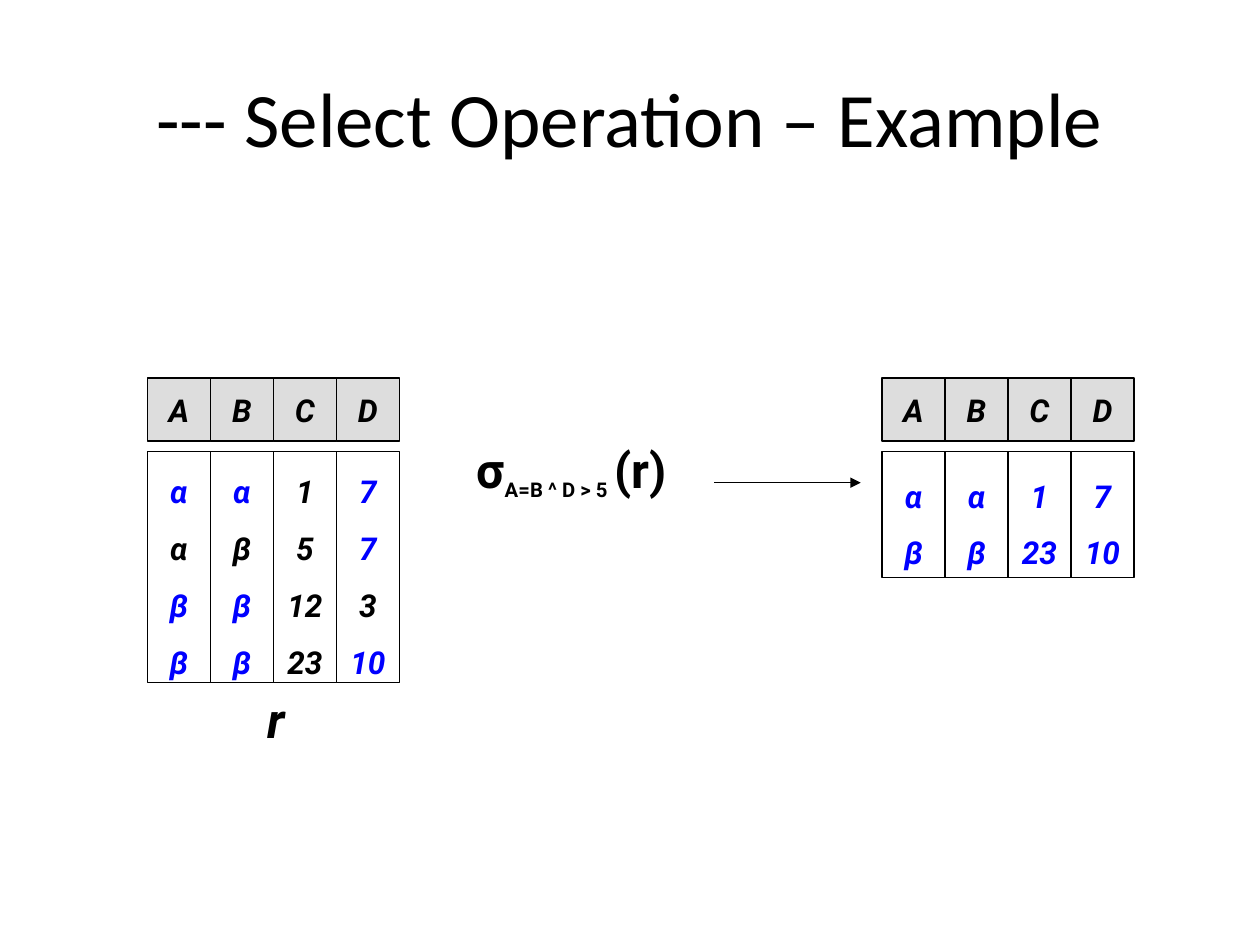
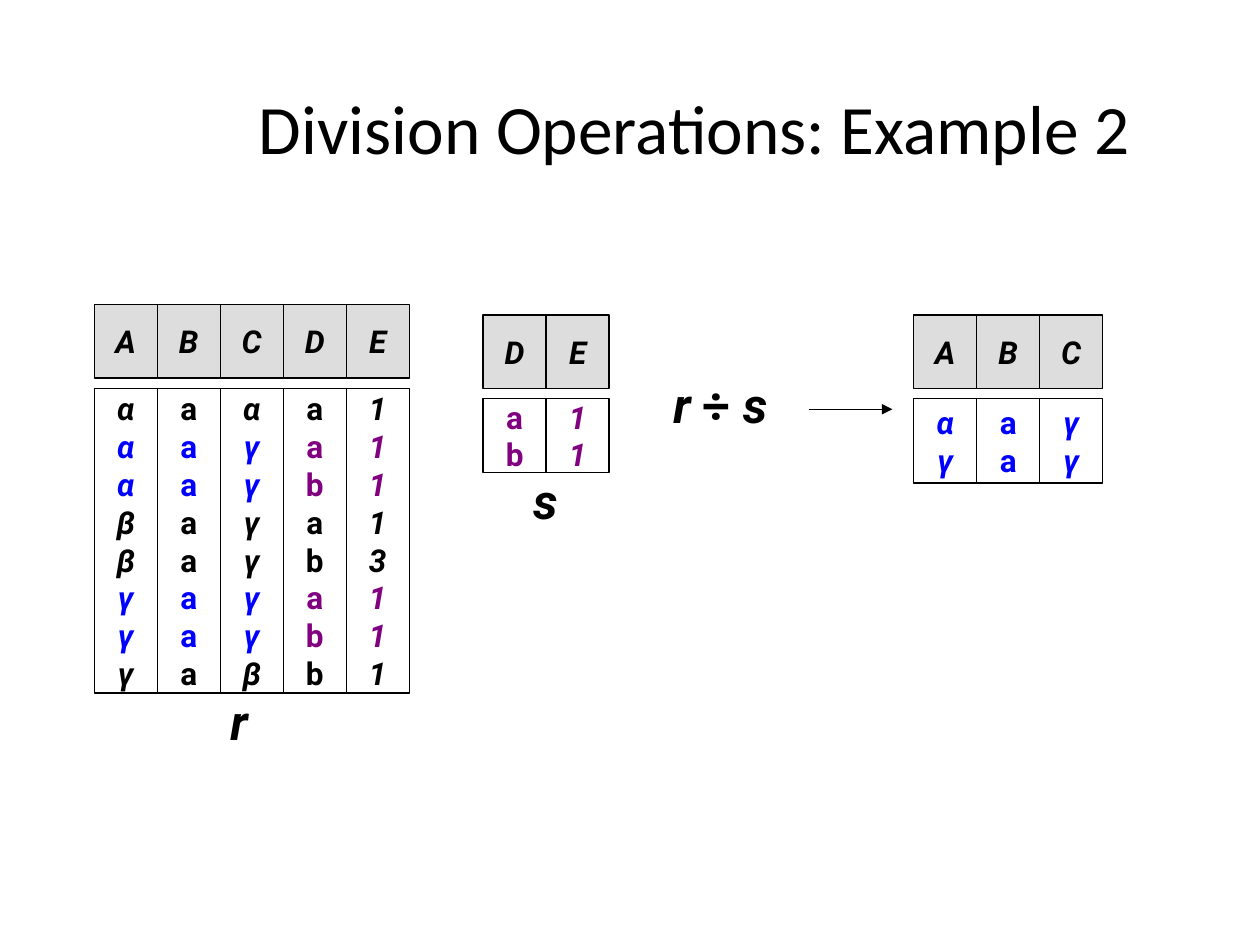
from dataclasses import dataclass

from lxml import etree
from pptx import Presentation
from pptx.dml.color import RGBColor
from pptx.enum.shapes import MSO_CONNECTOR, MSO_SHAPE
from pptx.enum.text import MSO_ANCHOR, PP_ALIGN
from pptx.oxml.ns import qn
from pptx.slide import Slide
from pptx.text.text import TextFrame, _Paragraph
from pptx.util import Cm, Pt

BLACK = RGBColor(0x00, 0x00, 0x00)
WHITE = RGBColor(0xFF, 0xFF, 0xFF)
GREY = RGBColor(0xDD, 0xDD, 0xDD)
BLUE = RGBColor(0x00, 0x00, 0xFF)
PURPLE = RGBColor(0x80, 0x00, 0x80)
HUES = {"k": BLACK, "b": BLUE, "p": PURPLE}

RECT = MSO_SHAPE.RECTANGLE
LINE = MSO_CONNECTOR.STRAIGHT
MIDDLE = MSO_ANCHOR.MIDDLE
CENTER = PP_ALIGN.CENTER

SANS = "Calibri"
ROBOTO = "Roboto"
CELL = 1.27  # column width, cm
GAP = 0.21  # between head and body, cm
STROKE = Pt(0.75)


@dataclass(frozen=True)
class Column:
    """One attribute: its name, its values, and one hue letter per value."""
    head: str
    cells: str
    hues: str


@dataclass(frozen=True)
class Table:
    left: float
    top: float
    head: float
    body: float
    cols: list[Column]
    pitch: float = 1.0


@dataclass(frozen=True)
class Piece:
    text: str
    italic: bool = True
    size: float = 28
    drop: int = 0


@dataclass(frozen=True)
class Label:
    left: float
    top: float
    width: float
    pieces: list[Piece]
    height: float = 1.45


@dataclass(frozen=True)
class Arrow:
    start: float
    end: float
    y: float


def write(para: _Paragraph, text: str, *, size: float = 18, color: RGBColor = BLACK,
          font: str = ROBOTO, bold: bool = True, italic: bool = True,
          drop: int = 0) -> None:
    """Add a run; drop lowers it as a subscript, in percent."""
    run = para.add_run()
    run.text = text
    face = run.font
    face.name, face.size = font, Pt(size)
    face.bold, face.italic = bold, italic
    face.color.rgb = color
    if drop:
        run._r.get_or_add_rPr().set("baseline", str(-drop * 1000))


def centre(frame: TextFrame, wrap: bool = False) -> _Paragraph:
    """Centre the frame both ways and return its first paragraph."""
    frame.word_wrap = wrap
    frame.vertical_anchor = MIDDLE
    para = frame.paragraphs[0]
    para.alignment = CENTER
    return para


def add_title(slide: Slide, text: str, left: float, top: float, width: float,
              height: float, size: float) -> None:
    box = slide.shapes.add_textbox(Cm(left), Cm(top), Cm(width), Cm(height))
    write(centre(box.text_frame, wrap=True), text, size=size, font=SANS,
          bold=False, italic=False)


def add_cell(slide: Slide, left: float, top: float, height: float,
             fill: RGBColor) -> TextFrame:
    cell = slide.shapes.add_shape(RECT, Cm(left), Cm(top), Cm(CELL), Cm(height))
    cell.shadow.inherit = False
    cell.fill.solid()
    cell.fill.fore_color.rgb = fill
    cell.line.color.rgb = BLACK
    cell.line.width = STROKE
    return cell.text_frame


def add_table(slide: Slide, table: Table) -> None:
    """Draw each column as a head cell above one tall body cell."""
    below = table.top + table.head + GAP
    for i, col in enumerate(table.cols):
        left = table.left + i * CELL
        head = add_cell(slide, left, table.top, table.head, GREY)
        write(centre(head), col.head)
        body = add_cell(slide, left, below, table.body, WHITE)
        para = centre(body)
        for row, (text, hue) in enumerate(zip(col.cells.split(), col.hues)):
            if row:
                para = body.add_paragraph()
                para.alignment = CENTER
            para.line_spacing = table.pitch
            write(para, text, color=HUES[hue], italic=text not in ("a", "b"))


def add_label(slide: Slide, label: Label) -> None:
    box = slide.shapes.add_textbox(Cm(label.left), Cm(label.top),
                                   Cm(label.width), Cm(label.height))
    para = centre(box.text_frame)
    for piece in label.pieces:
        write(para, piece.text, size=piece.size, italic=piece.italic,
              drop=piece.drop)


def add_arrow(slide: Slide, arrow: Arrow) -> None:
    line = slide.shapes.add_connector(LINE, Cm(arrow.start), Cm(arrow.y),
                                      Cm(arrow.end), Cm(arrow.y))
    line.line.color.rgb = BLACK
    line.line.width = STROKE
    etree.SubElement(line.line._get_or_add_ln(), qn("a:tailEnd"), type="triangle")
    etree.SubElement(line._element.spPr, qn("a:effectLst"))


def add_all(slide: Slide, tables: list[Table], labels: list[Label],
            arrow: Arrow) -> None:
    for table in tables:
        add_table(slide, table)
    for label in labels:
        add_label(slide, label)
    add_arrow(slide, arrow)


def add_select(slide: Slide) -> None:
    add_title(slide, "--- Select Operation – Example", 1.27, 0.76, 22.86, 3.18, 44)
    source = Table(2.97, 7.62, 1.27, 4.66, [
        Column("A", "α α β β", "bkbb"),
        Column("B", "α β β β", "bkbb"),
        Column("C", "1 5 12 23", "kkkk"),
        Column("D", "7 7 3 10", "bbkb"),
    ], pitch=1.5)
    result = Table(17.78, 7.62, 1.27, 2.54, [
        Column("A", "α β", "bb"),
        Column("B", "α β", "bb"),
        Column("C", "1 23", "bb"),
        Column("D", "7 10", "bb"),
    ], pitch=1.5)
    name = Label(5.01, 13.77, 1.1, [Piece("r")])
    query = Label(9.09, 8.81, 4.88, [
        Piece("σ", italic=False),
        Piece("A=B ^ D > 5", italic=False, size=20, drop=25),
        Piece(" ", italic=False, drop=25),
        Piece("(r)", italic=False),
    ])
    add_all(slide, [source, result], [name, query], Arrow(14.4, 17.35, 9.73))


def add_division(slide: Slide) -> None:
    add_title(slide, "Division Operations: Example 2", 3.18, 1.7, 21.64, 1.7, 39.6)
    source = Table(1.9, 6.14, 1.48, 6.14, [
        Column("A", "α α α β β γ γ γ", "kbbkkbbk"),
        Column("B", "a a a a a a a a", "kbbkkbbk"),
        Column("C", "α γ γ γ γ γ γ β", "kbbkkbbk"),
        Column("D", "a a b a b a b b", "kppkkppk"),
        Column("E", "1 1 1 1 3 1 1 1", "kppkkppk"),
    ])
    divisor = Table(9.74, 6.35, 1.48, 1.48, [
        Column("D", "a b", "pp"),
        Column("E", "1 1", "pp"),
    ])
    result = Table(18.42, 6.35, 1.48, 1.7, [
        Column("A", "α γ", "bb"),
        Column("B", "a a", "bb"),
        Column("C", "γ γ", "bb"),
    ])
    labels = [
        Label(4.37, 13.8, 0.9, [Piece("r")]),
        Label(10.46, 9.35, 1.07, [Piece("s")]),
        Label(13.25, 7.42, 2.54,
              [Piece("r "), Piece("÷ ", italic=False), Piece("s")]),
    ]
    add_all(slide, [source, divisor, result], labels, Arrow(16.3, 17.99, 8.25))


def main() -> None:
    deck = Presentation()
    deck.slide_width, deck.slide_height = Cm(25.4), Cm(19.05)
    blank = deck.slide_layouts[6]
    for build in (add_select, add_division):
        build(deck.slides.add_slide(blank))
    deck.save("out.pptx")


if __name__ == "__main__":
    main()
